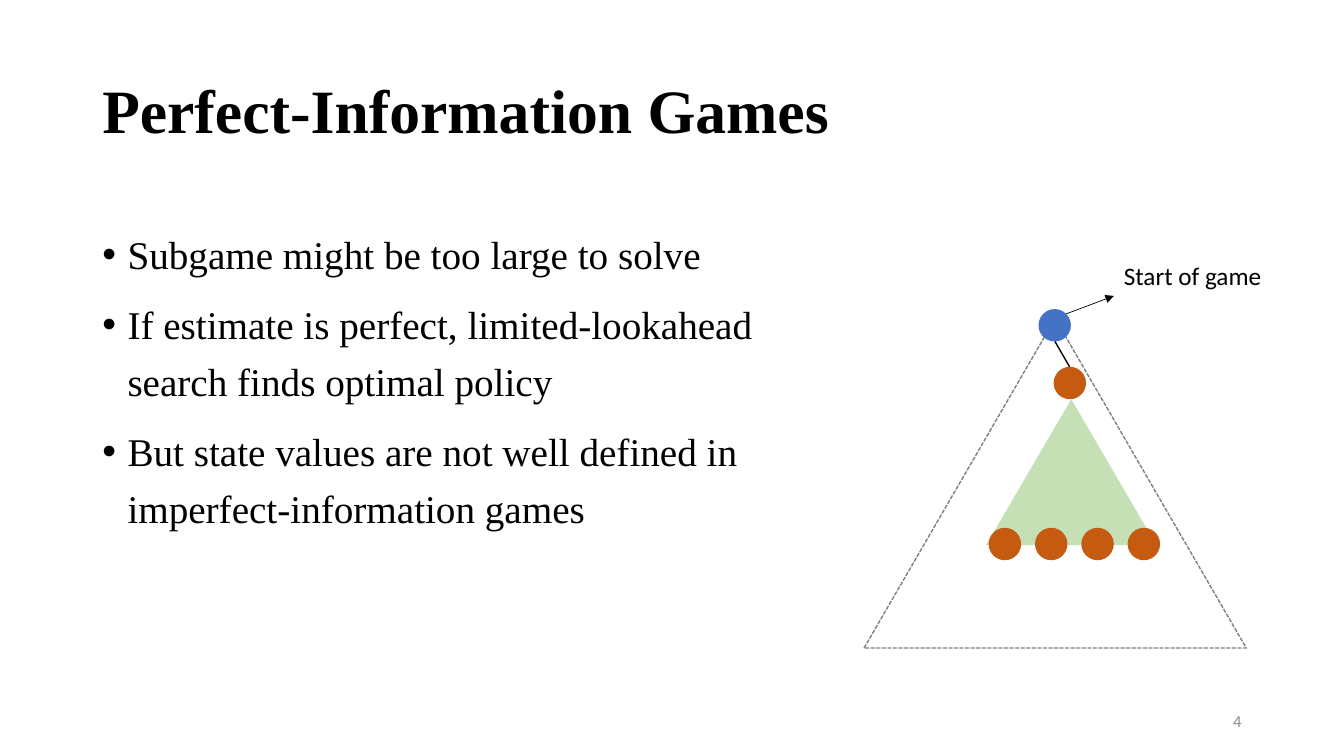
import pptx
import pptx.util
import pptx.dml.color
import pptx.enum.dml
import pptx.enum.shapes
import pptx.enum.text
import pptx.oxml.ns
from lxml import etree

Pt = pptx.util.Pt
RGB = pptx.dml.color.RGBColor.from_string
KIND = pptx.enum.shapes.MSO_SHAPE
ALIGN = pptx.enum.text.PP_ALIGN
ANCHOR = pptx.enum.text.MSO_ANCHOR
qn = pptx.oxml.ns.qn
COLORS = {"black": "000000", "page": "8C8C8C", "edge": "808080",
          "root": "4472C4", "node": "C55A11", "tree": "C5E0B4"}

deck = pptx.Presentation()
deck.slide_width, deck.slide_height = Pt(960), Pt(540)
slide = deck.slides.add_slide(deck.slide_layouts[6])
shapes = slide.shapes


def write(lines, left, top, width, height, size, font="Times New Roman",
          color="black", bold=False, align=ALIGN.LEFT, anchor=ANCHOR.TOP,
          space=1.0, gap=0, bullet=None):
    box = shapes.add_textbox(Pt(left), Pt(top), Pt(width), Pt(height))
    frame = box.text_frame
    frame.word_wrap = True
    frame.vertical_anchor = anchor
    frame.text = "\n".join(lines)
    for i, para in enumerate(frame.paragraphs):
        para.alignment = align
        para.line_spacing = space
        para.space_before = Pt(gap if i else 0)
        if bullet:
            props = para._p.get_or_add_pPr()
            props.set("marL", str(Pt(18)))
            props.set("indent", str(-Pt(18)))
            etree.SubElement(props, qn("a:buFont")).set("typeface", "Arial")
            etree.SubElement(props, qn("a:buChar")).set("char", bullet)
        para.font.name = font
        para.font.size = Pt(size)
        para.font.bold = bold
        para.font.color.rgb = RGB(COLORS[color])


def draw(kind, left, top, width, height, fill=None):
    """Add a filled shape, or a dashed outline when no fill is given."""
    shape = shapes.add_shape(kind, Pt(left), Pt(top), Pt(width), Pt(height))
    shape.shadow.inherit = False
    if fill:
        shape.fill.solid()
        shape.fill.fore_color.rgb = RGB(COLORS[fill])
        shape.line.fill.background()
    else:
        shape.fill.background()
        shape.line.color.rgb = RGB(COLORS["edge"])
        shape.line.width = Pt(1)
        shape.line.dash_style = pptx.enum.dml.MSO_LINE.SQUARE_DOT


write(["Perfect-Information Games"], 66, 28.8, 828, 104.4, 44, bold=True,
      anchor=ANCHOR.MIDDLE, space=0.9)
write(["Subgame might be too large to solve",
       "If estimate is perfect, limited-lookahead search finds optimal policy",
       "But state values are not well defined in imperfect-information games"],
      66, 154, 502.5, 332, 28, space=1.2, gap=10, bullet="•")
write(["4"], 678, 500.5, 216, 28.8, 12, font="Calibri", color="page",
      align=ALIGN.RIGHT, anchor=ANCHOR.MIDDLE)
write(["Start of game"], 795.6, 182.4, 147.6, 29, 18, font="Calibri")

# Game tree
dot = 23.2
draw(KIND.ISOSCELES_TRIANGLE, 617.2, 227.5, 273, 235.4)
draw(KIND.OVAL, 741.8, 220.8, dot, dot, "root")
draw(KIND.OVAL, 752.6, 262, dot, dot, "node")
draw(KIND.ISOSCELES_TRIANGLE, 704.4, 285.2, 121.6, 104.2, "tree")
for i in range(4):
    draw(KIND.OVAL, 706.2 + 33.1 * i, 377, dot, dot, "node")

for x1, y1, x2, y2, width, arrow in [
        (761.6, 224.2, 795.6, 211.4, 0.5, True),
        (764, 262, 753.6, 244, 1, False)]:
    link = shapes.add_connector(pptx.enum.shapes.MSO_CONNECTOR.STRAIGHT,
                                Pt(x1), Pt(y1), Pt(x2), Pt(y2))
    link.line.color.rgb = RGB(COLORS["black"])
    link.line.width = Pt(width)
    if arrow:
        tail = etree.SubElement(link.line._get_or_add_ln(), qn("a:tailEnd"))
        tail.set("type", "triangle")
    etree.SubElement(link._element.spPr, qn("a:effectLst"))

deck.save("out.pptx")
